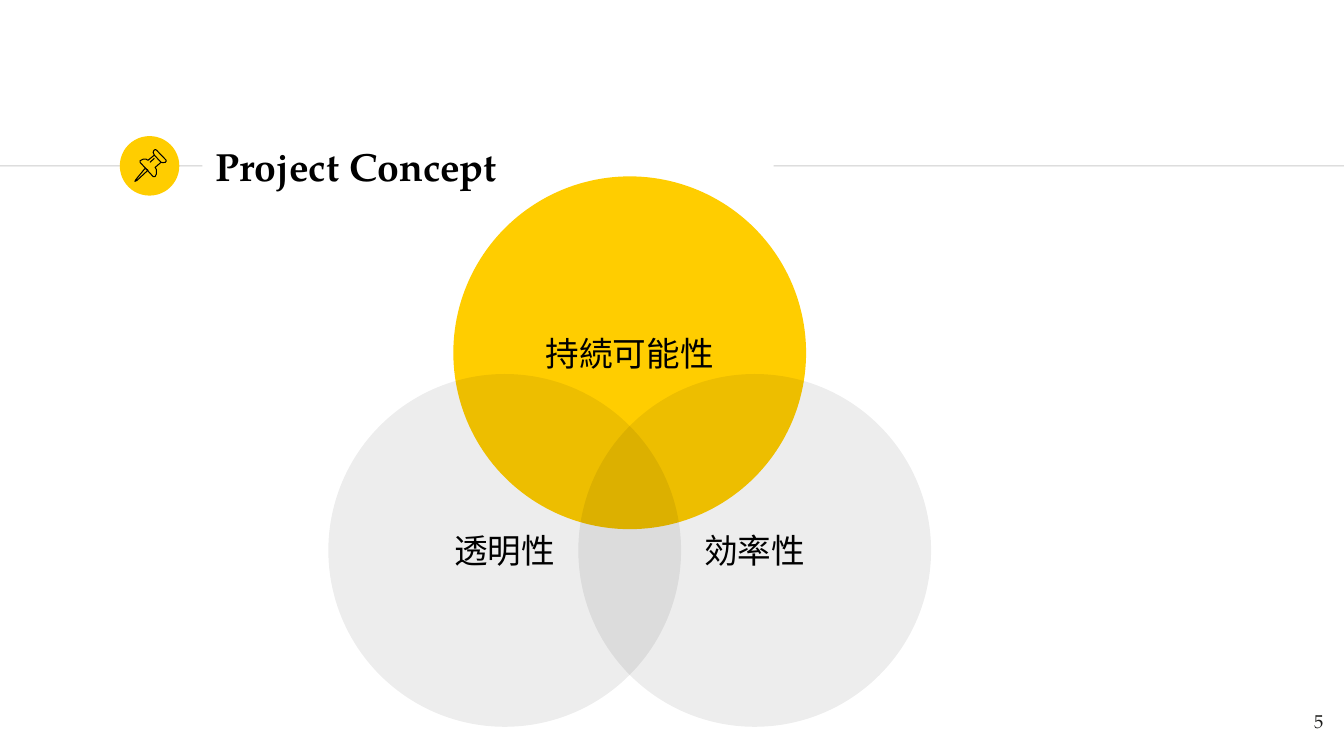
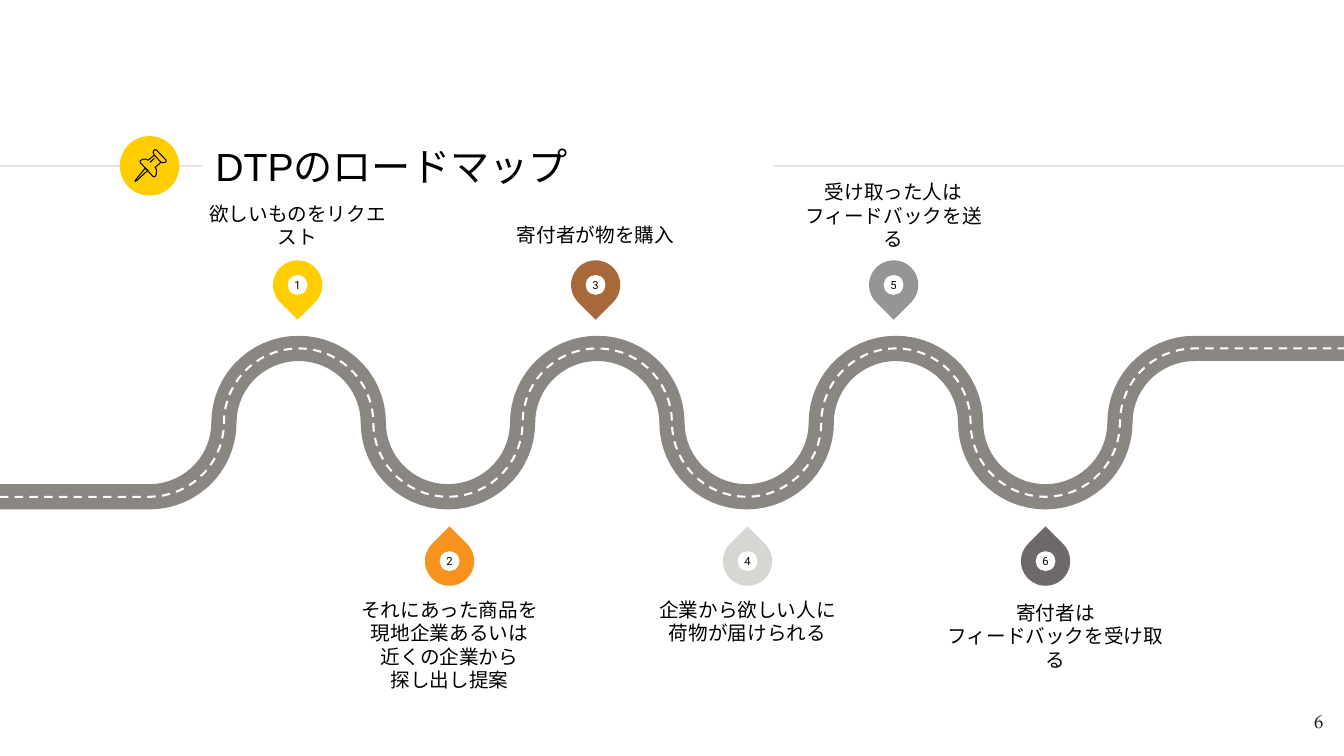
"""Build the project concept and roadmap slides."""
import math
from dataclasses import dataclass

import pptx
import pptx.dml.color
import pptx.enum.dml
import pptx.enum.shapes
import pptx.enum.text
import pptx.oxml.ns
import pptx.util
from lxml import etree

Cm = pptx.util.Cm
SHAPE = pptx.enum.shapes.MSO_SHAPE
ALIGN = pptx.enum.text.PP_ALIGN
ANCHOR = pptx.enum.text.MSO_ANCHOR
qn = pptx.oxml.ns.qn


@dataclass(frozen=True)
class Theme:
    """Colours, fonts, type sizes and shared measures in centimetres."""
    accent: str = "FFCD00"
    ink: str = "000000"
    page_ink: str = "1D1D1B"
    white: str = "FFFFFF"
    rule: str = "CCCCCC"
    road: str = "8A8682"
    orange: str = "F6921D"
    brown: str = "A7693A"
    pale: str = "D8D6D2"
    grey: str = "979593"
    dark: str = "6F6868"
    serif: str = "TeX Gyre Pagella"
    sans: str = "Arial"
    body: str = "Roboto"
    title_size: float = 28
    circle_size: float = 24
    label_size: float = 14
    page_size: float = 13.3
    number_size: float = 8
    width: float = 33.87
    height: float = 19.05
    axis: float = 4.18
    inset: float = 0.33
    hairline: float = 0.75


@dataclass(frozen=True)
class Step:
    """One roadmap stop with its label."""
    colour: str
    edge: float
    lines: tuple
    width: float = 4.78
    shift: float = 0


class Deck:
    """Hold the style and the current slide."""

    def __init__(self, theme):
        self.t = theme
        self.prs = pptx.Presentation()
        self.prs.slide_width = Cm(theme.width)
        self.prs.slide_height = Cm(theme.height)
        self.s = None

    def rgb(self, colour):
        return pptx.dml.color.RGBColor.from_string(colour)

    def set_text(self, sp, lines, size, font, colour=None, bold=False,
                 align=ALIGN.CENTER, anchor=ANCHOR.MIDDLE, inset=0):
        tf = sp.text_frame
        tf.word_wrap = True
        tf.vertical_anchor = anchor
        tf.margin_left = tf.margin_right = Cm(inset)
        tf.margin_top = tf.margin_bottom = Cm(inset)
        for i, line in enumerate(lines):
            p = tf.add_paragraph() if i else tf.paragraphs[0]
            p.alignment = align
            r = p.add_run()
            r.text = line
            r.font.size = pptx.util.Pt(size)
            r.font.name = font
            r.font.bold = bold
            r.font.color.rgb = self.rgb(colour or self.t.ink)

    def text(self, x, y, w, h, lines, size, font, **style):
        sp = self.s.shapes.add_textbox(Cm(x), Cm(y), Cm(w), Cm(h))
        self.set_text(sp, lines, size, font, **style)
        return sp

    def centred(self, kind, cx, cy, size, colour, alpha=None, parent=None):
        shapes = (parent or self.s).shapes
        sp = shapes.add_shape(kind, Cm(cx - size / 2), Cm(cy - size / 2),
                              Cm(size), Cm(size))
        sp.shadow.inherit = False
        sp.fill.solid()
        sp.fill.fore_color.rgb = self.rgb(colour)
        sp.line.fill.background()
        if alpha is not None:
            clr = sp._element.spPr.find(qn("a:solidFill")).find(qn("a:srgbClr"))
            etree.SubElement(clr, qn("a:alpha")).set("val", str(alpha * 1000))
        return sp

    def stroke(self, sp, colour, width):
        sp.line.color.rgb = self.rgb(colour)
        sp.line.width = pptx.util.Pt(width)

    def line(self, x1, y1, x2, y2, colour, parent=None):
        sp = (parent or self.s).shapes.add_connector(
            pptx.enum.shapes.MSO_CONNECTOR.STRAIGHT,
            Cm(x1), Cm(y1), Cm(x2), Cm(y2))
        self.stroke(sp, colour, self.t.hairline)
        etree.SubElement(sp._element.spPr, qn("a:effectLst"))
        return sp

    def outline(self, points, colour, width, close=False, parent=None):
        pts = [(Cm(x), Cm(y)) for x, y in points]
        builder = (parent or self.s).shapes.build_freeform(*pts[0], scale=1.0)
        builder.add_line_segments(pts[1:], close=close)
        sp = builder.convert_to_shape()
        sp.shadow.inherit = False
        sp.fill.background()
        self.stroke(sp, colour, width)
        return sp

    def pushpin(self):
        t = self.t
        self.centred(SHAPE.OVAL, 3.77, t.axis, 1.5, t.accent)
        grp = self.s.shapes.add_group_shape()
        needle = [(3.66, 4.24), (3.43, 4.52), (3.4, 4.57), (3.45, 4.55),
                  (3.73, 4.29)]
        cap = [(3.89, 3.91), (4.06, 4.09), (4.11, 4.1), (4.17, 4.09),
               (4.19, 4.06), (4.19, 4.04), (3.94, 3.78), (3.91, 3.77),
               (3.88, 3.79), (3.86, 3.84)]
        body = [(3.89, 3.91), (3.73, 4.04), (3.68, 4.01), (3.61, 4.01),
                (3.53, 4.05), (3.53, 4.09), (3.86, 4.45), (3.91, 4.45),
                (3.94, 4.39), (3.94, 4.27), (3.91, 4.22), (4.06, 4.09)]
        for points, close in ((needle, True), (cap, True), (body, False)):
            self.outline(points, t.ink, t.hairline, close, grp)
        self.line(3.78, 4.09, 3.89, 3.99, t.ink, grp)

    def slide(self, title, page, font, bold=False):
        t = self.t
        self.s = self.prs.slides.add_slide(self.prs.slide_layouts[6])
        left, width, height = 5.1, 14.4, 1.62
        sp = self.text(left, t.axis - height / 2, width, height, [title],
                       t.title_size, font, bold=bold, align=ALIGN.LEFT,
                       inset=t.inset)
        self.line(0, t.axis, left, t.axis, t.rule).end_connect(sp, 1)
        self.line(left + width, t.axis, t.width, t.axis,
                  t.rule).begin_connect(sp, 3)
        self.pushpin()
        self.text(31.65, 17.6, 2.03, 1.45, [page], t.page_size, t.serif,
                  colour=t.page_ink, align=ALIGN.RIGHT, anchor=ANCHOR.TOP,
                  inset=t.inset)

    def venn(self, cx, cy, dx, dy, size, names):
        t = self.t
        spots = ((cx, cy, t.accent, None), (cx - dx, cy + dy, t.ink, 7),
                 (cx + dx, cy + dy, t.ink, 7))
        for name, (x, y, colour, alpha) in zip(names, spots):
            sp = self.centred(SHAPE.OVAL, x, y, size, colour, alpha)
            self.set_text(sp, [name], t.circle_size, t.body, inset=t.inset)

    def road(self, mid, radius):
        t = self.t
        step = t.width / 9
        points = [(0, mid + radius)]
        for deg in range(90, 1351, 6):
            x = step * (1 + deg // 180)
            x -= step / 2 * math.cos(math.radians(deg % 180))
            points.append((x, mid + radius * math.sin(math.radians(deg))))
        points.append((t.width, mid - radius))
        self.outline(points, t.road, 18)
        dashes = self.outline(points, t.white, 1.5)
        dashes.line.dash_style = pptx.enum.dml.MSO_LINE.DASH

    def stop(self, number, step):
        t = self.t
        pair, below = divmod(number - 1, 2)
        cx = (11.33 if below else 7.5) + 7.51 * pair
        cy = 14.14 if below else 7.18
        grp = self.s.shapes.add_group_shape()
        drop = self.centred(SHAPE.TEAR, cx, cy, 1.24, step.colour, parent=grp)
        drop.rotation = 315 if below else 135
        dot = self.centred(SHAPE.OVAL, cx, cy, 0.5, t.white, parent=grp)
        self.set_text(dot, [str(number)], t.number_size, t.body)
        height = 1.98
        self.text(cx + step.shift - step.width / 2,
                  step.edge if below else step.edge - height,
                  step.width, height, step.lines, t.label_size, t.sans,
                  anchor=ANCHOR.TOP if below else ANCHOR.BOTTOM)


def main():
    t = Theme()
    deck = Deck(t)

    deck.slide("Project Concept", "5", t.serif, bold=True)
    deck.venn(15.87, 8.89, 3.15, 4.98, 8.89, ("持続可能性", "透明性", "効率性"))

    deck.slide("DTPのロードマップ", "6", t.sans)
    deck.road(10.65, 1.87)
    steps = (
        Step(t.accent, 6.27, ("欲しいものをリクエスト",)),
        Step(t.orange, 15.06, ("それにあった商品を現地企業あるいは",
                               "近くの企業から", "探し出し提案")),
        Step(t.brown, 6.22, ("寄付者が物を購入",)),
        Step(t.pale, 15.06, ("企業から欲しい人に荷物が届けられる",)),
        Step(t.grey, 6.32, ("受け取った人は", "フィードバックを送る")),
        Step(t.dark, 15.14, ("寄付者は", "フィードバックを受け取る"),
             width=5.46, shift=0.25),
    )
    for number, step in enumerate(steps, 1):
        deck.stop(number, step)

    deck.prs.save("out.pptx")


if __name__ == "__main__":
    main()
